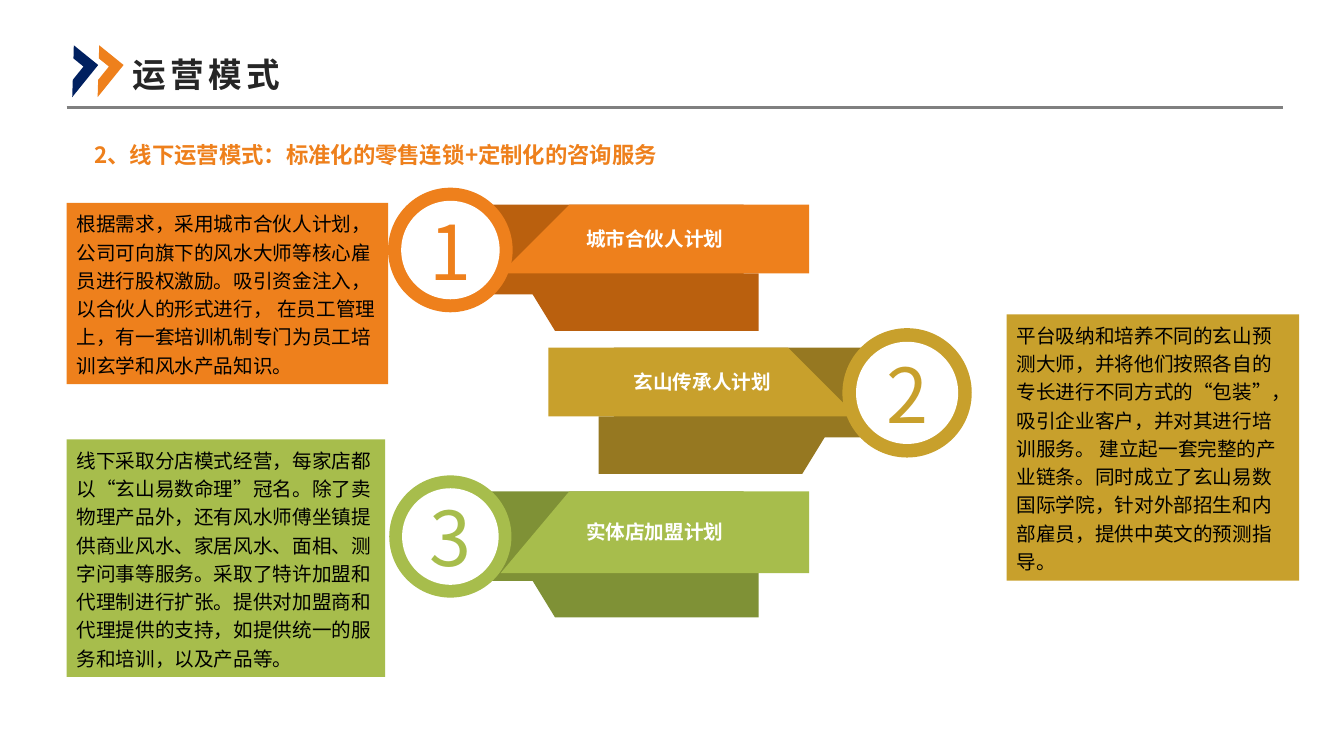
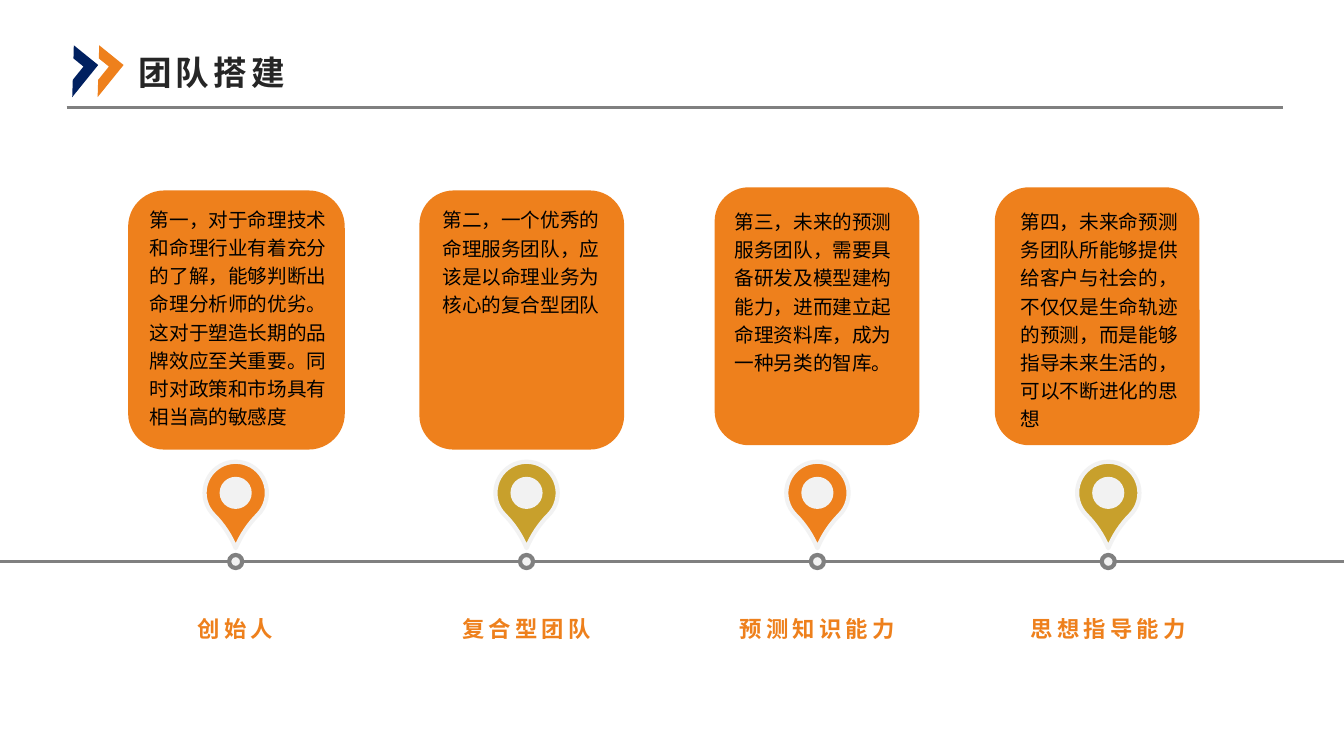
import pptx
import pptx.util
import pptx.dml.color
import pptx.enum.shapes
import pptx.enum.text
import pptx.oxml
import pptx.oxml.ns

Cm = pptx.util.Cm
Pt = pptx.util.Pt
RGBColor = pptx.dml.color.RGBColor
SHAPE = pptx.enum.shapes.MSO_SHAPE
CONNECTOR = pptx.enum.shapes.MSO_CONNECTOR
ALIGN = pptx.enum.text.PP_ALIGN
ANCHOR = pptx.enum.text.MSO_ANCHOR
qn = pptx.oxml.ns.qn

ORANGE = RGBColor(0xEE, 0x80, 0x1C)
DARK_ORANGE = RGBColor(0xBA, 0x60, 0x0E)
GOLD = RGBColor(0xC8, 0xA0, 0x2C)
DARK_GOLD = RGBColor(0x96, 0x78, 0x21)
GREEN = RGBColor(0xA7, 0xBD, 0x4C)
DARK_GREEN = RGBColor(0x7F, 0x91, 0x36)
NAVY = RGBColor(0x00, 0x20, 0x60)
INK = RGBColor(0x26, 0x26, 0x26)
GREY = RGBColor(0x80, 0x80, 0x80)
PALE = RGBColor(0xF2, 0xF2, 0xF2)
BLACK = RGBColor(0, 0, 0)
WHITE = RGBColor(0xFF, 0xFF, 0xFF)

CJK = "Noto Sans CJK SC"
SLIDE_W, SLIDE_H = 33.87, 19.05

# box (left, top, width, height) in cm, text
PARTNER_BOX = (1.68, 5.11, 8.1, 4.57)
PARTNER_TEXT = ("根据需求，采用城市合伙人计划，公司可向旗下的风水大师等核心雇员进行股权激励。"
                "吸引资金注入，以合伙人的形式进行， 在员工管理上，"
                "有一套培训机制专门为员工培训玄学和风水产品知识。")
HEIR_BOX = (25.37, 7.92, 7.37, 6.71)
HEIR_TEXT = ("平台吸纳和培养不同的玄山预测大师，并将他们按照各自的专长进行不同方式的“包装”，"
             "吸引企业客户，并对其进行培训服务。 建立起一套完整的产业链条。"
             "同时成立了玄山易数国际学院，针对外部招生和内部雇员，提供中英文的预测指导。")
STORE_BOX = (1.68, 11.07, 8.03, 5.99)
STORE_TEXT = ("线下采取分店模式经营，每家店都以“玄山易数命理”冠名。除了卖物理产品外，"
              "还有风水师傅坐镇提供商业风水、家居风水、面相、测字问事等服务。"
              "采取了特许加盟和代理制进行扩张。提供对加盟商和代理提供的支持，"
              "如提供统一的服务和培训，以及产品等。")

# label, pin colour, card box, left and top inset, card text
TEAM = [
    ("创始人", ORANGE, (3.23, 4.8, 5.46, 6.53), (0.28, 0.05),
     "第一，对于命理技术和命理行业有着充分的了解，能够判断出命理分析师的优劣。"
     "这对于塑造长期的品牌效应至关重要。同时对政策和市场具有相当高的敏感度"),
    ("复合型团队", GOLD, (10.57, 4.8, 5.16, 6.53), (0.33, 0.08),
     "第二，一个优秀的命理服务团队，应该是以命理业务为核心的复合型团队"),
    ("预测知识能力", ORANGE, (18.01, 4.72, 5.16, 6.5), (0.25, 0.2),
     "第三，未来的预测服务团队，需要具备研发及模型建构能力，"
     "进而建立起命理资料库，成为一种另类的智库。"),
    ("思想指导能力", GOLD, (25.07, 4.72, 5.16, 6.5), (0.4, 0.2),
     "第四，未来命预测务团队所能够提供给客户与社会的，"
     "不仅仅是生命轨迹的预测，而是能够指导未来生活的，可以不断进化的思想"),
]


def set_text(sp, text, size=14, color=BLACK, bold=False, font=CJK, spacing=None,
             align=ALIGN.LEFT, anchor=ANCHOR.TOP, wrap=True, line_spacing=None):
    tf = sp.text_frame
    tf.word_wrap = wrap
    tf.auto_size = pptx.enum.text.MSO_AUTO_SIZE.NONE
    tf.vertical_anchor = anchor
    p = tf.paragraphs[0]
    p.alignment = align
    if line_spacing:
        p.line_spacing = line_spacing
    r = p.add_run()
    r.text = text
    r.font.size = Pt(size)
    r.font.bold = bold
    r.font.color.rgb = color
    r.font.name = font
    rpr = r.font._element
    east_asian = pptx.oxml.parse_xml(
        '<a:ea xmlns:a="http://schemas.openxmlformats.org/drawingml/2006/main"/>')
    east_asian.set("typeface", CJK)
    rpr.append(east_asian)
    if spacing:
        rpr.set("spc", str(spacing * 100))


def paint(sp, fill, line=None, line_width=3):
    sp.shadow.inherit = False
    sp.fill.solid()
    sp.fill.fore_color.rgb = fill
    if line is None:
        sp.line.fill.background()
    else:
        sp.line.color.rgb = line
        sp.line.width = Pt(line_width)
    return sp


def add_shape(slide, kind, box, fill, line=None, rotation=0):
    sp = slide.shapes.add_shape(kind, *map(Cm, box))
    sp.rotation = rotation
    return paint(sp, fill, line)


def add_disc(slide, cx, cy, d, fill, line=None):
    return add_shape(slide, SHAPE.OVAL, (cx - d / 2, cy - d / 2, d, d), fill, line)


def add_polygon(slide, points, fill):
    first, *rest = [(Cm(x), Cm(y)) for x, y in points]
    builder = slide.shapes.build_freeform(*first)
    builder.add_line_segments(rest, close=True)
    return paint(builder.convert_to_shape(), fill)


def add_rule(slide, x1, x2, y, width):
    line = slide.shapes.add_connector(CONNECTOR.STRAIGHT, Cm(x1), Cm(y), Cm(x2), Cm(y))
    line.line.color.rgb = GREY
    line.line.width = Pt(width)
    sp_pr = line._element.spPr
    sp_pr.append(sp_pr.makeelement(qn("a:effectLst"), {}))


def add_text_box(slide, box, text, **text_format):
    set_text(slide.shapes.add_textbox(*map(Cm, box)), text, **text_format)


def add_titled_slide(prs, title, title_left, title_top):
    """Add a slide with the double chevron, the title and the rule below."""
    slide = prs.slides.add_slide(prs.slide_layouts[5])
    sp = slide.shapes.title
    sp.left, sp.top, sp.width, sp.height = map(Cm, (title_left, title_top, 5.66, 1.96))
    tf = sp.text_frame
    tf.margin_left = tf.margin_right = Cm(0.25)
    tf.margin_top = tf.margin_bottom = Cm(0.13)
    set_text(sp, title, size=24, color=INK, bold=True, font="Arial", spacing=3,
             anchor=ANCHOR.MIDDLE)
    add_rule(slide, 1.68, 32.33, 2.7, 2.25)
    for left, color in ((1.32, NAVY), (1.96, ORANGE)):
        add_shape(slide, SHAPE.HALF_FRAME, (left, 1.4, 1.04, 0.79), color, rotation=129)
    return slide


def add_ribbon(slide, left, top, number, label, color, dark,
               front_h=1.73, disc_d=3.14, mirrored=False):
    """Draw a folded ribbon with its numbered disc on the left, or right if mirrored."""
    width = 7.77

    def at(x, y):
        return left + (width - x if mirrored else x), top + y

    def band(right, bottom_x, top_x, y1, y2, fill):
        return add_polygon(slide, [at(right, y2), at(bottom_x, y2),
                                   at(top_x, y1), at(right, y1)], fill)

    band(6.12, -1.63, -0.33, 0, 2.26, dark)
    band(6.5, 1.37, 0.48, 1.73, 3.18, dark)
    front = band(width, 0, 1.73, 0, front_h, color)
    set_text(front, label, color=WHITE, bold=True, wrap=False,
             align=ALIGN.CENTER, anchor=ANCHOR.MIDDLE)
    cx, cy = at(-1.27, 1.14)
    add_disc(slide, cx, cy, disc_d, color)
    set_text(add_disc(slide, cx, cy, disc_d * 0.79, WHITE), number, size=54, color=color,
             wrap=False, align=ALIGN.CENTER, anchor=ANCHOR.MIDDLE)


def add_note(slide, box, text, color):
    set_text(add_shape(slide, SHAPE.RECTANGLE, box, color), text, line_spacing=1.2)


def add_card(slide, box, insets, text):
    sp = add_shape(slide, SHAPE.ROUNDED_RECTANGLE, box, ORANGE)
    tf = sp.text_frame
    tf.margin_left, tf.margin_top = map(Cm, insets)
    tf.margin_right = Cm(0.13)
    tf.margin_bottom = 0
    set_text(sp, text, line_spacing=1.2)


def add_milestone(slide, cx, axis_y, label, color):
    """Draw the pin above the axis, the node on it and the label below."""
    pin_d, pin_y = 1.57, axis_y - 1.73
    pin = add_shape(slide, SHAPE.TEAR, (cx - pin_d / 2, pin_y - pin_d / 2, pin_d, pin_d),
                    color, PALE, rotation=135)
    pin.adjustments[0] = 1.254
    add_disc(slide, cx, pin_y, 0.81, PALE)
    add_disc(slide, cx, axis_y, 0.33, PALE, GREY)
    add_text_box(slide, (cx - 2.88, axis_y + 1.09, 5.76, 2.39), label, size=16, color=ORANGE,
                 bold=True, font="Arial", spacing=3, align=ALIGN.CENTER, line_spacing=1.2)


def build_operations(prs):
    slide = add_titled_slide(prs, "运营模式", 3.1, 0.89)
    add_text_box(slide, (2.13, 3.3, 28.02, 1.32),
                 "2、线下运营模式：标准化的零售连锁+定制化的咨询服务",
                 size=16, color=ORANGE, bold=True, line_spacing=1.2)
    add_ribbon(slide, 12.62, 5.16, "1", "城市合伙人计划", ORANGE, DARK_ORANGE)
    add_ribbon(slide, 13.82, 8.76, "2", "玄山传承人计划", GOLD, DARK_GOLD,
               disc_d=3.26, mirrored=True)
    add_ribbon(slide, 12.62, 12.38, "3", "实体店加盟计划", GREEN, DARK_GREEN,
               front_h=2.06, disc_d=3.08)
    add_note(slide, PARTNER_BOX, PARTNER_TEXT, ORANGE)
    add_note(slide, HEIR_BOX, HEIR_TEXT, GOLD)
    add_note(slide, STORE_BOX, STORE_TEXT, GREEN)


def build_team(prs):
    slide = add_titled_slide(prs, "团队搭建", 3.23, 0.84)
    first_x, pitch, axis_y = 5.94, 7.33, 14.15
    add_rule(slide, 0, SLIDE_W, axis_y, 1.5)
    for i, (label, color, box, insets, text) in enumerate(TEAM):
        add_card(slide, box, insets, text)
        add_milestone(slide, first_x + i * pitch, axis_y, label, color)


def main():
    prs = pptx.Presentation()
    prs.slide_width, prs.slide_height = Cm(SLIDE_W), Cm(SLIDE_H)
    build_operations(prs)
    build_team(prs)
    prs.save("out.pptx")


if __name__ == "__main__":
    main()
